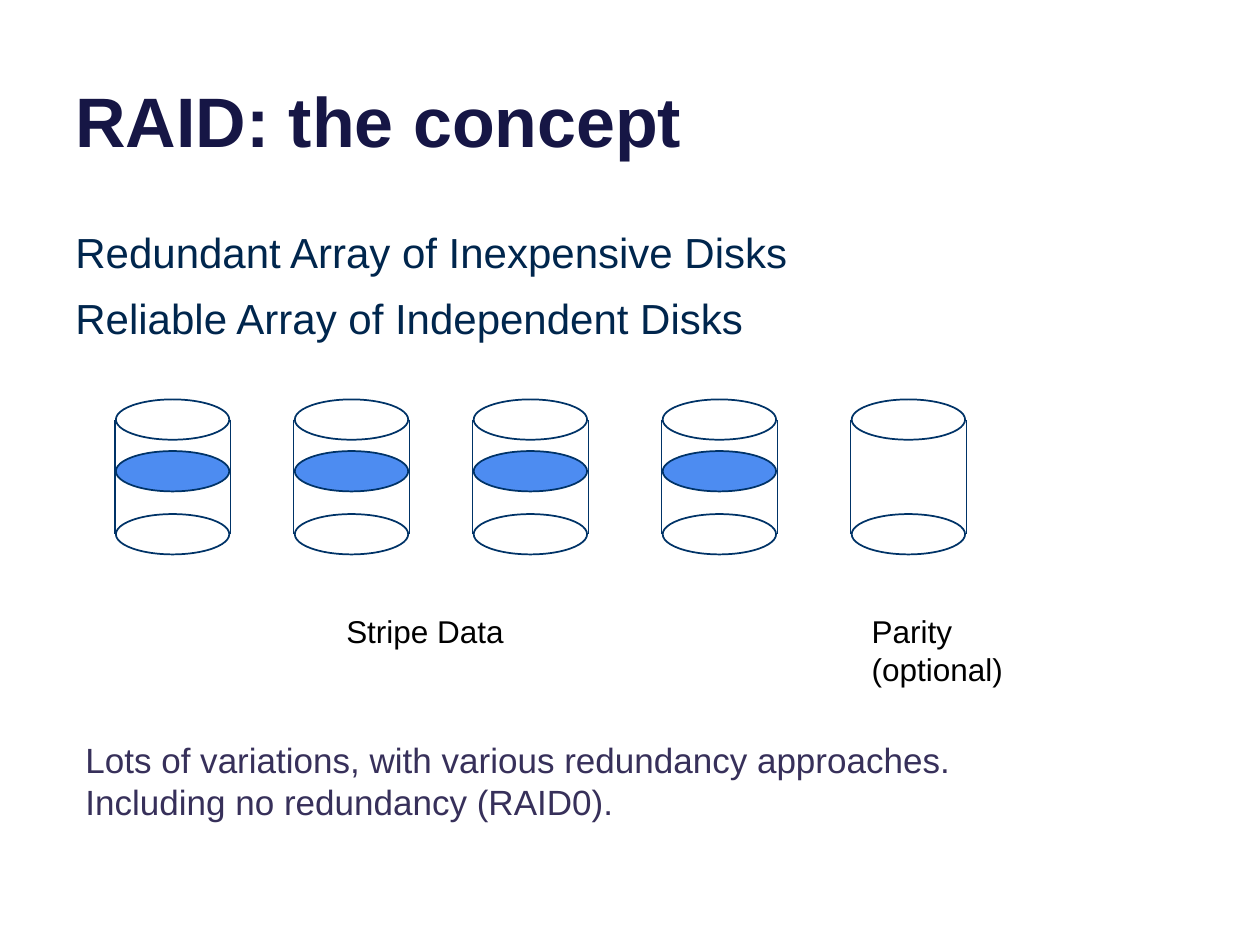
from lxml import etree
from pptx import Presentation
from pptx.dml.color import RGBColor
from pptx.enum.shapes import MSO_CONNECTOR, MSO_SHAPE
from pptx.enum.text import MSO_ANCHOR
from pptx.oxml.ns import qn
from pptx.util import Inches, Pt

ELLIPSE = MSO_SHAPE.OVAL
STRAIGHT = MSO_CONNECTOR.STRAIGHT
TOP, BOTTOM = MSO_ANCHOR.TOP, MSO_ANCHOR.BOTTOM
OUTLINE = "003367"
STRIPE = "4D8CF1"

presentation = Presentation()
presentation.slide_width = Inches(10)
presentation.slide_height = Inches(7.5)
slide = presentation.slides.add_slide(presentation.slide_layouts[6])


def color(value):
    return RGBColor.from_string(value)


def add_ellipse(shapes, left, top, fill=None):
    shape = shapes.add_shape(ELLIPSE, Inches(left), Inches(top),
                             Inches(DISK_WIDTH), Inches(RIM_HEIGHT))
    shape.shadow.inherit = False
    shape.line.color.rgb = color(OUTLINE)
    shape.line.width = Pt(1)
    if fill:
        shape.fill.solid()
        shape.fill.fore_color.rgb = color(fill)
    else:
        shape.fill.background()


# Disks: four data disks and one parity disk, sharing the same rows
DISK_LEFTS = [0.92, 2.34, 3.76, 5.26, 6.76]
DISK_WIDTH, RIM_HEIGHT = 0.9, 0.32
TOP_RIM, STRIPE_ROW, BOTTOM_RIM = 3.17, 3.58, 4.08

for left in DISK_LEFTS:
    disk = slide.shapes.add_group_shape()
    for rim in (TOP_RIM, BOTTOM_RIM):
        add_ellipse(disk.shapes, left, rim)
    for side in (left - 0.01, left + DISK_WIDTH + 0.01):
        wall = disk.shapes.add_connector(
            STRAIGHT, Inches(side), Inches(TOP_RIM + RIM_HEIGHT / 2),
            Inches(side), Inches(BOTTOM_RIM + RIM_HEIGHT / 2))
        wall.line.color.rgb = color(OUTLINE)
        wall.line.width = Pt(1)
        etree.SubElement(wall._element.spPr, qn("a:effectLst"))

# Data stripe across every disk except parity
for left in DISK_LEFTS[:-1]:
    add_ellipse(slide.shapes, left, STRIPE_ROW, STRIPE)

# Texts: box, lines, font size, colour, bold, wrap, anchor, space before
TEXTS = [
    ((0.5, -0.37, 9, 1.7), ["RAID: the concept"],
     40, "161645", True, True, BOTTOM, 0),
    ((0.5, 1.75, 9, 3.33),
     ["Redundant Array of Inexpensive Disks",
      "Reliable Array of Independent Disks"],
     24, "00264D", False, True, TOP, 9),
    ((2.65, 4.81, 1.47, 0.4), ["Stripe Data"],
     18, "000000", False, False, TOP, 0),
    ((6.82, 4.81, 1.33, 1.01), ["Parity", "(optional)"],
     18, "000000", False, False, TOP, 0),
    ((0.58, 5.81, 7.67, 0.77),
     ["Lots of variations, with various redundancy approaches.",
      "Including no redundancy (RAID0)."],
     20, "37305A", False, True, TOP, 0),
]

for box, lines, size, text_color, bold, wrap, anchor, gap in TEXTS:
    text_box = slide.shapes.add_textbox(*map(Inches, box))
    frame = text_box.text_frame
    frame.word_wrap = wrap
    frame.vertical_anchor = anchor
    frame.text = "\n".join(lines)
    for index, paragraph in enumerate(frame.paragraphs):
        if index:
            paragraph.space_before = Pt(gap)
        font_format = {"name": "Arial", "size": Pt(size), "bold": bold}
        for run in paragraph.runs:
            for attribute, value in font_format.items():
                setattr(run.font, attribute, value)
            run.font.color.rgb = color(text_color)

presentation.save("out.pptx")
